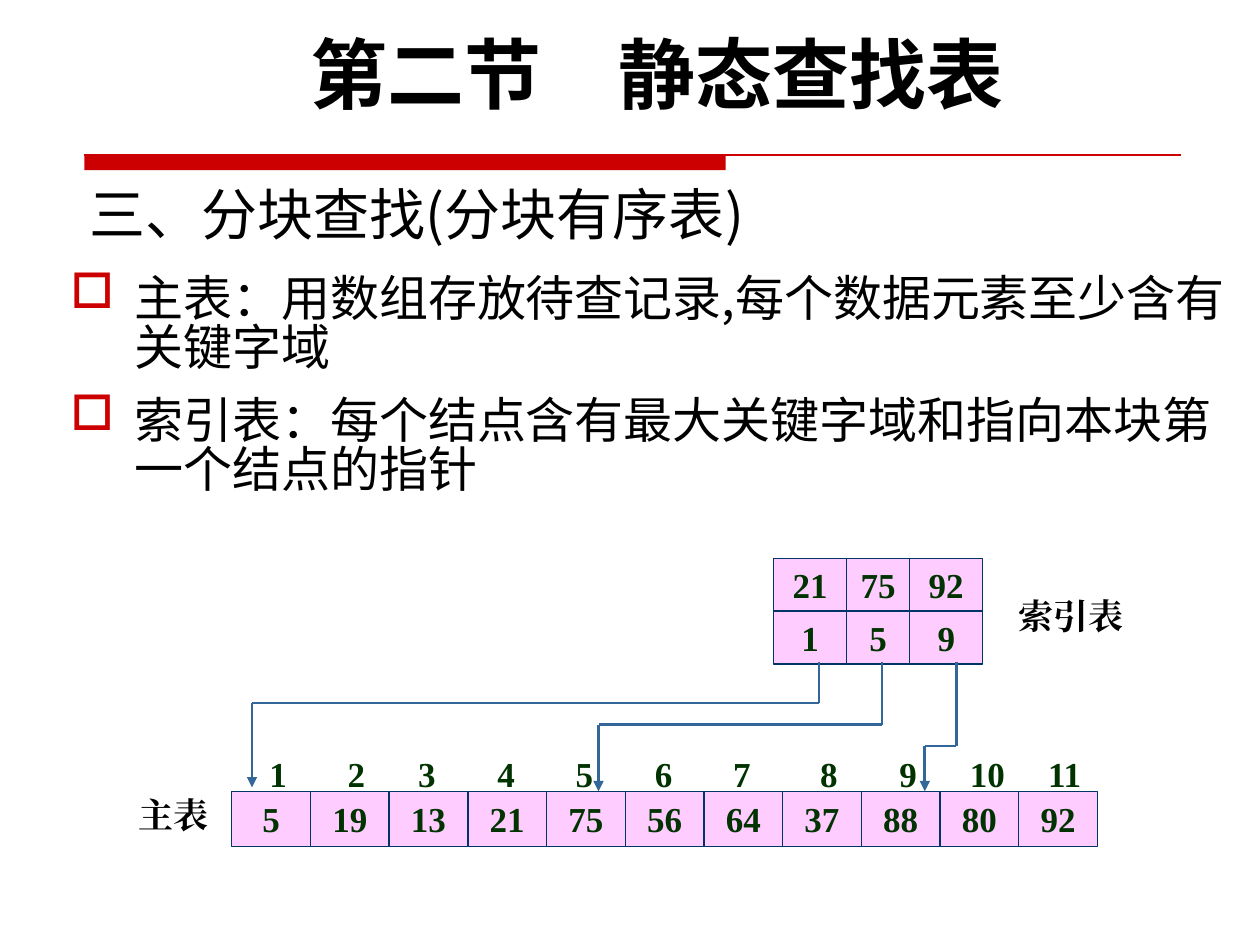
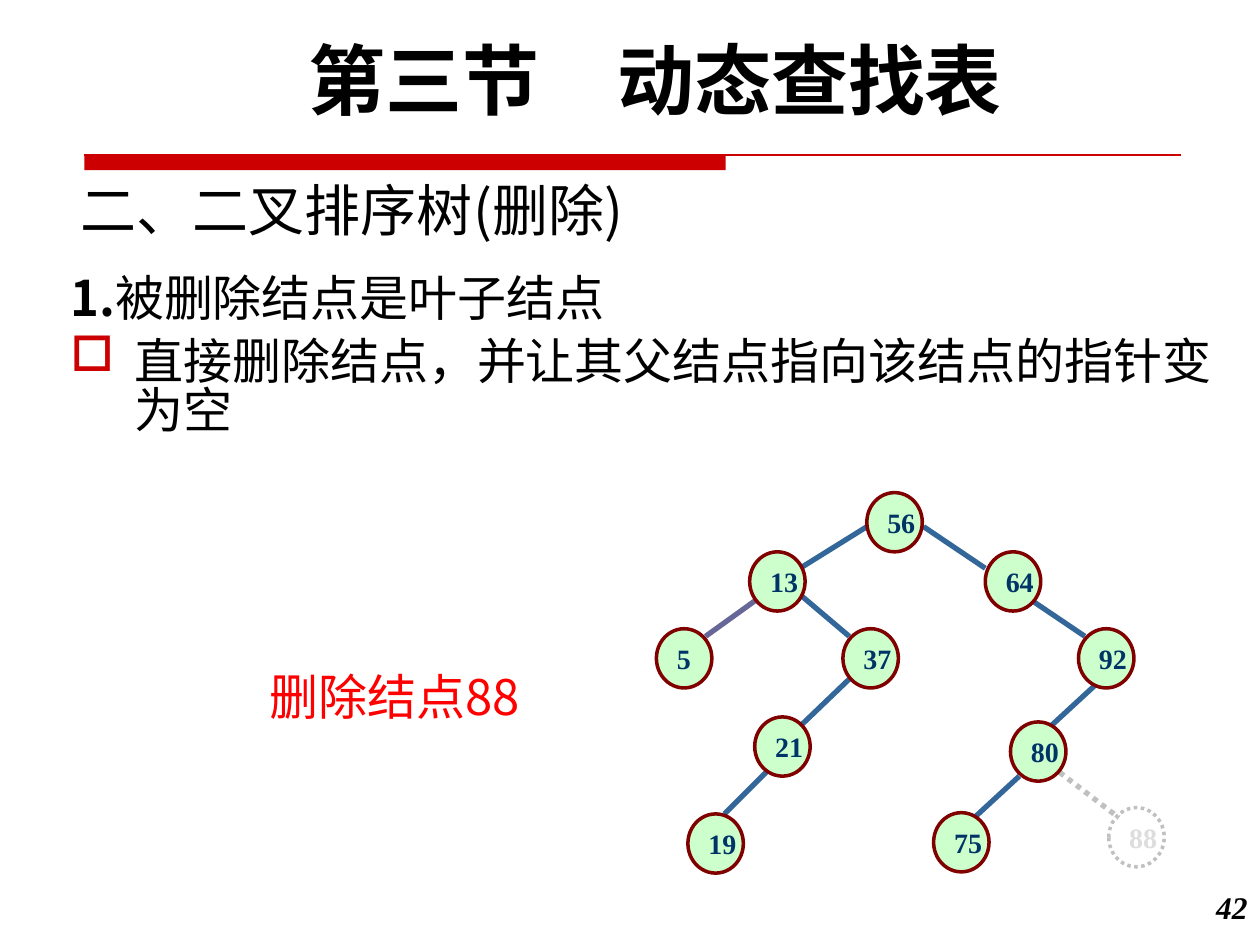
from itertools import pairwise

from lxml import etree
from pptx import Presentation
from pptx.dml.color import RGBColor
from pptx.enum.dml import MSO_LINE
from pptx.enum.shapes import MSO_CONNECTOR, MSO_SHAPE
from pptx.enum.text import MSO_ANCHOR, PP_ALIGN
from pptx.oxml.ns import qn
from pptx.util import Inches, Pt

RECTANGLE, OVAL = MSO_SHAPE.RECTANGLE, MSO_SHAPE.OVAL
STRAIGHT = MSO_CONNECTOR.STRAIGHT
DOTTED = MSO_LINE.ROUND_DOT
LEFT, CENTER, RIGHT = PP_ALIGN.LEFT, PP_ALIGN.CENTER, PP_ALIGN.RIGHT
TOP, MIDDLE, BOTTOM = MSO_ANCHOR.TOP, MSO_ANCHOR.MIDDLE, MSO_ANCHOR.BOTTOM

COLORS = {
    "black": "000000", "red": "CC0000", "alert": "FF0000",
    "cell": "FFCCFF", "cell_text": "003300", "navy": "003366",
    "arrow": "336699", "violet": "666699",
    "node": "CCFFCC", "node_line": "800000",
    "white": "FFFFFF", "removed": "C0C0C0", "removed_text": "DDDDDD",
}
SANS, SERIF, HEADING = "Noto Sans CJK SC", "Times New Roman", "Cabin"
FORMATS = {
    "chapter": {"name": HEADING, "size": Pt(44), "bold": True, "color": "black"},
    "title": {"name": SANS, "size": Pt(32), "bold": False, "color": "black"},
    "body": {"name": SANS, "size": Pt(28), "bold": False, "color": "black"},
    "number": {"name": SANS, "size": Pt(28), "bold": True, "color": "black"},
    "alert": {"name": SANS, "size": Pt(28), "color": "alert"},
    "label": {"name": SERIF, "size": Pt(20), "bold": True, "color": "black"},
    "cell": {"name": SERIF, "size": Pt(20), "bold": True, "color": "cell_text"},
    "node": {"name": SERIF, "size": Pt(16), "bold": True, "color": "navy"},
    "removed": {"name": SERIF, "size": Pt(16), "bold": True, "color": "removed_text"},
    "page": {"name": SERIF, "size": Pt(18), "bold": True, "italic": True, "color": "black"},
}
BODY_INDENT = 0.51
BODY_LINE_SPACING = 0.83
NODE_WIDTH, NODE_HEIGHT = 0.44, 0.47


def rgb(color):
    return RGBColor.from_string(COLORS[color])


def write(paragraph, text, style):
    """Add one run in a named format, for Latin and East Asian letters alike."""
    run = paragraph.add_run()
    run.text = text
    for attribute, value in FORMATS[style].items():
        if attribute == "color":
            run.font.color.rgb = rgb(value)
        else:
            setattr(run.font, attribute, value)
    latin = run.font._element.find(qn("a:latin"))
    east_asian = etree.Element(qn("a:ea"), typeface=FORMATS[style]["name"])
    latin.addnext(east_asian)


def add_text(slide, text, box, style, align=LEFT, side_inset=0.1):
    shape = slide.shapes.add_textbox(*map(Inches, box))
    frame = shape.text_frame
    frame.word_wrap = True
    frame.margin_left = frame.margin_right = Inches(side_inset)
    paragraph = frame.paragraphs[0]
    paragraph.alignment = align
    write(paragraph, text, style)
    return paragraph


def add_shape(slide, kind, box, fill, line, width, dash=None):
    shape = slide.shapes.add_shape(kind, *map(Inches, box))
    shape.shadow.inherit = False
    shape.fill.solid()
    shape.fill.fore_color.rgb = rgb(fill)
    shape.line.color.rgb = rgb(line)
    shape.line.width = Pt(width)
    if dash:
        shape.line.dash_style = dash
    return shape


def label_shape(shape, text, style, align):
    frame = shape.text_frame
    frame.word_wrap = False
    frame.vertical_anchor = MIDDLE
    frame.paragraphs[0].alignment = align
    write(frame.paragraphs[0], text, style)


def add_line(slide, start, end, color, width, dash=None, arrow=False):
    connector = slide.shapes.add_connector(STRAIGHT, *map(Inches, (*start, *end)))
    connector.line.color.rgb = rgb(color)
    connector.line.width = Pt(width)
    if dash:
        connector.line.dash_style = dash
    properties = connector._element.spPr
    if arrow:
        etree.SubElement(properties.find(qn("a:ln")), qn("a:tailEnd"), type="triangle")
    etree.SubElement(properties, qn("a:effectLst"))


def add_route(slide, points):
    """Draw a bent line through the points, with an arrowhead at the last."""
    for start, end in pairwise(points):
        add_line(slide, start, end, "arrow", 1.5, arrow=end == points[-1])


def add_cells(slide, left, top, widths, height, values):
    for width, value in zip(widths, values):
        cell = add_shape(slide, RECTANGLE, (left, top, width, height), "cell", "navy", 0.75)
        label_shape(cell, value, "cell", CENTER)
        left += width


def add_tabbed_row(slide, values, box, stops):
    paragraph = add_text(slide, "\t".join(values), box, "cell")
    properties = paragraph._p.get_or_add_pPr()
    tabs = etree.SubElement(properties, qn("a:tabLst"))
    for stop in stops:
        etree.SubElement(tabs, qn("a:tab"), pos=str(Inches(stop)), algn="l")


def add_body(slide, box, paragraphs, gap):
    """Each paragraph is (bulleted, [(text, style), ...])."""
    frame = slide.shapes.add_textbox(*map(Inches, box)).text_frame
    frame.word_wrap = True
    for index, (bulleted, runs) in enumerate(paragraphs):
        paragraph = frame.add_paragraph() if index else frame.paragraphs[0]
        paragraph.line_spacing = BODY_LINE_SPACING
        if index:
            paragraph.space_before = Pt(gap)
        properties = paragraph._p.get_or_add_pPr()
        properties.set("marL", str(Inches(BODY_INDENT)))
        properties.set("indent", str(-Inches(BODY_INDENT)))
        if bulleted:
            color = etree.SubElement(properties, qn("a:buClr"))
            etree.SubElement(color, qn("a:srgbClr"), val=COLORS["red"])
            etree.SubElement(properties, qn("a:buChar"), char="□")
        for text, style in runs:
            write(paragraph, text, style)


def add_node(slide, value, left, top, removed=False):
    look = ("white", "removed", 2, DOTTED) if removed else ("node", "node_line", 2)
    node = add_shape(slide, OVAL, (left, top, NODE_WIDTH, NODE_HEIGHT), *look)
    label_shape(node, value, "removed" if removed else "node", LEFT)


def add_slide(presentation, chapter, chapter_box, title, title_box):
    """Start a slide with the shared band, chapter heading and title."""
    slide = presentation.slides.add_slide(presentation.slide_layouts[5])
    band = add_shape(slide, RECTANGLE, (0.67, 1.23, 5.09, 0.12), "red", "red", 0.75)
    band.line.fill.background()
    add_line(slide, (0.67, 1.23), (9.37, 1.23), "red", 0.75)
    add_text(slide, chapter, chapter_box, "chapter", CENTER)

    shape = slide.shapes.title
    shape.left, shape.top, shape.width, shape.height = map(Inches, title_box)
    shape.text_frame.vertical_anchor = BOTTOM
    shape.text_frame.paragraphs[0].alignment = LEFT
    write(shape.text_frame.paragraphs[0], title, "title")
    return slide


def build_block_search(presentation):
    slide = add_slide(presentation, "第二节　静态查找表", (0.59, 0.16, 9.25, 0.84),
                      "三、分块查找(分块有序表)", (0.61, 1.46, 8.8, 0.55))
    add_body(slide, (0.46, 2.15, 9.38, 2.29), [
        (True, [("主表：用数组存放待查记录,每个数据元素至少含有关键字域", "body")]),
        (True, [("索引表：每个结点含有最大关键字域和指向本块第一个结点的指针", "body")]),
    ], gap=14)

    # Main table with its positions
    records = ["5", "19", "13", "21", "75", "56", "64", "37", "88", "80", "92"]
    positions = [str(number) for number in range(1, len(records) + 1)]
    add_tabbed_row(slide, positions, (2.04, 5.92, 7, 0.43),
                   [0.62, 1.18, 1.81, 2.43, 3.06, 3.68, 4.37, 5, 5.56, 6.18])
    add_cells(slide, 1.84, 6.28, [6.87 / len(records)] * len(records), 0.44, records)
    add_text(slide, "主表", (1, 6.25, 0.83, 0.43), "label")

    # Index table: largest keys above, block starts below
    for row, values in enumerate((["21", "75", "92"], ["1", "5", "9"])):
        add_cells(slide, 6.14, 4.43 + row * 0.42, [0.58, 0.5, 0.58], 0.42, values)
    add_text(slide, "索引表", (8, 4.67, 1, 0.43), "label", CENTER, side_inset=0)

    # Pointers: start x, bend y, end x, end y
    for start_x, bend_y, end_x, end_y in [
        (6.5, 5.58, 2, 6.25), (7, 5.75, 4.75, 6.28), (7.59, 5.92, 7.34, 6.28),
    ]:
        add_route(slide, [(start_x, 5.25), (start_x, bend_y), (end_x, bend_y), (end_x, end_y)])


def build_tree_deletion(presentation):
    slide = add_slide(presentation, "第三节　动态查找表", (0.58, 0.21, 9.25, 0.84),
                      "二、二叉排序树(删除)", (0.54, 1.23, 6.25, 0.75))
    add_body(slide, (0.46, 2.15, 9.58, 4.42), [
        (False, [("1.", "number"), ("被删除结点是叶子结点", "body")]),
        (True, [("直接删除结点，并让其父结点指向该结点的指针变为空", "body")]),
    ], gap=8.5)
    add_text(slide, "删除结点88", (2.04, 5.24, 2.56, 0.57), "alert")

    # Tree edges
    for start, end in [
        ((6.88, 4.18), (6.35, 4.51)), ((7.33, 4.18), (7.82, 4.51)),
        ((6.35, 4.72), (6.74, 5.05)), ((6.74, 5.39), (6.26, 5.85)),
        ((6.15, 6.06), (5.75, 6.46)), ((8.21, 4.78), (8.61, 5.05)),
        ((8.69, 5.44), (8.31, 5.79)), ((8.09, 6.16), (7.71, 6.51)),
    ]:
        add_line(slide, start, end, "arrow", 3)
    add_line(slide, (5.99, 4.77), (5.6, 5.05), "violet", 3)

    # Tree nodes, the removed leaf first
    add_node(slide, "88", 8.8, 6.41, removed=True)
    add_line(slide, (8.41, 6.13), (8.88, 6.49), "removed", 3, DOTTED)
    for value, left, top in [
        ("56", 6.88, 3.91), ("13", 5.95, 4.38), ("64", 7.82, 4.38),
        ("5", 5.21, 4.99), ("37", 6.69, 4.99), ("92", 8.56, 4.99),
        ("21", 5.99, 5.69), ("80", 8.02, 5.73), ("19", 5.46, 6.46), ("75", 7.41, 6.45),
    ]:
        add_node(slide, value, left, top)

    add_text(slide, "42", (9.33, 7, 0.67, 0.5), "page", RIGHT)


def main():
    presentation = Presentation()
    presentation.slide_width, presentation.slide_height = Inches(10), Inches(7.5)
    build_block_search(presentation)
    build_tree_deletion(presentation)
    presentation.save("out.pptx")


if __name__ == "__main__":
    main()
